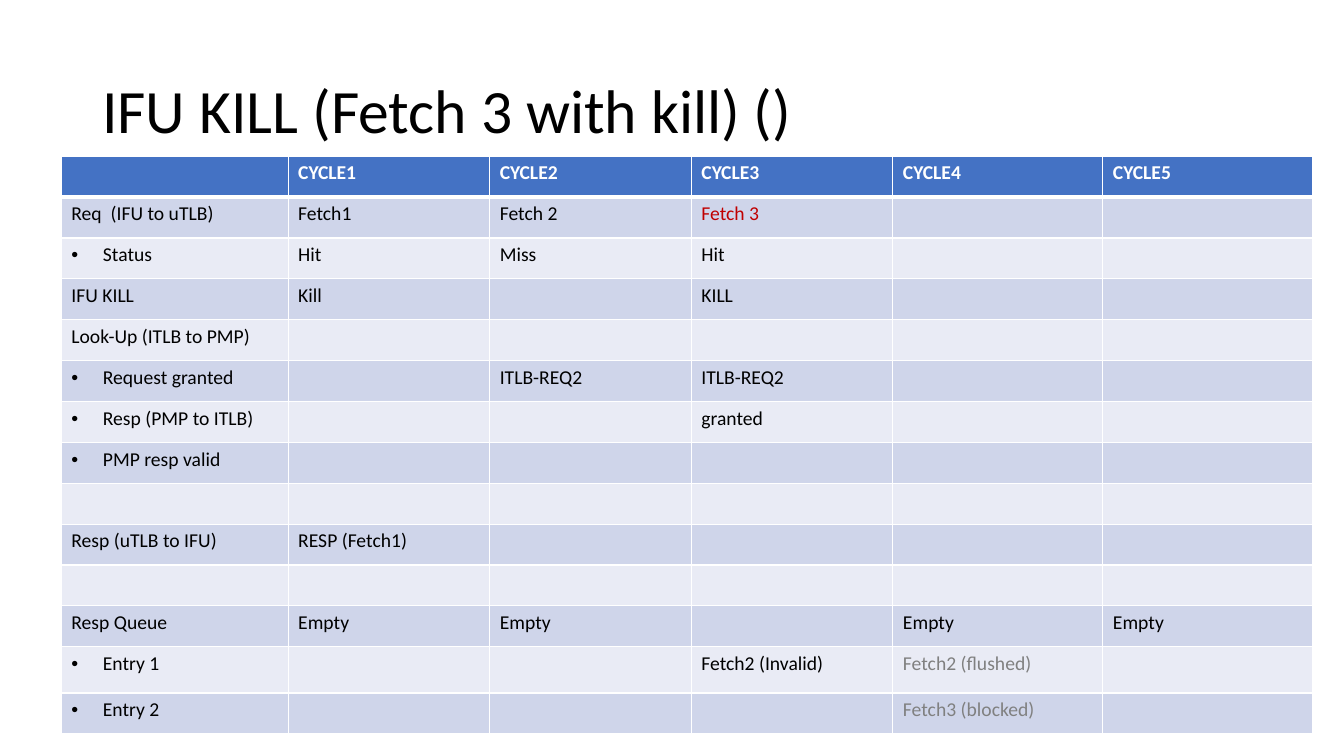
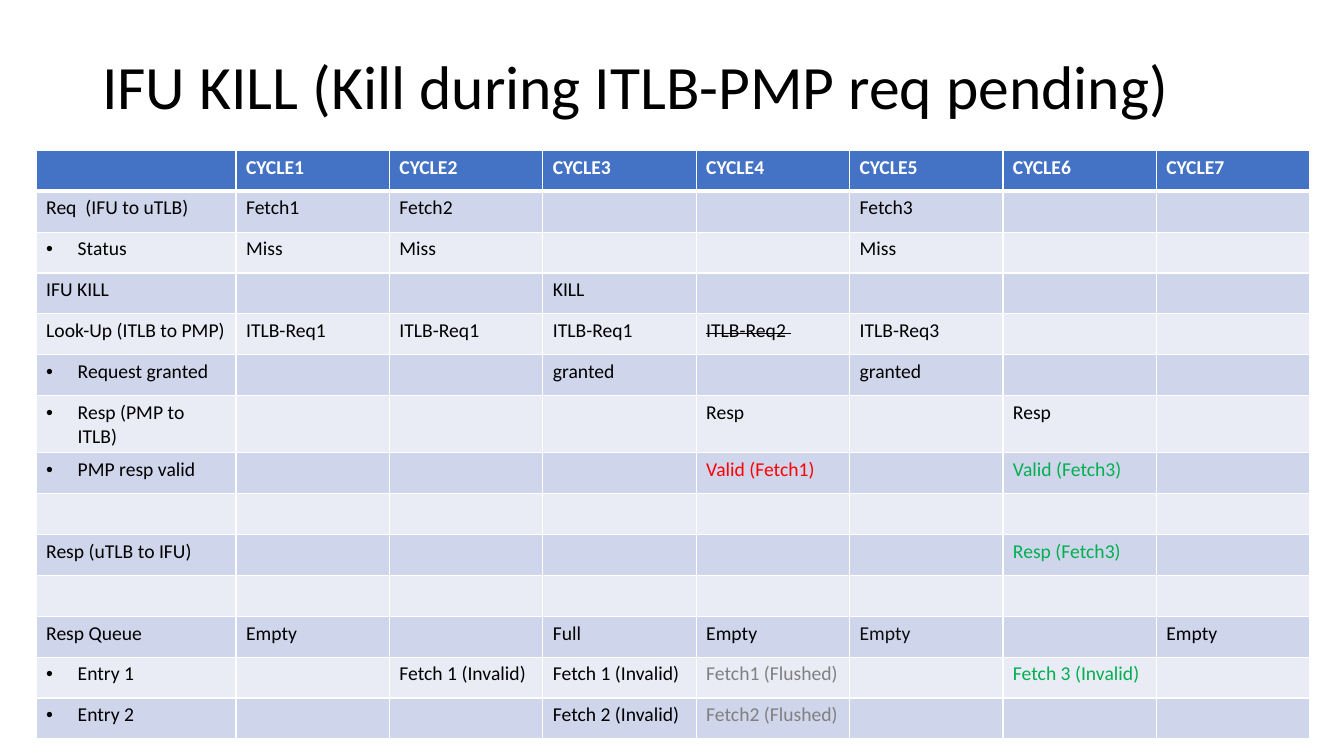
"""Build two slides that trace instruction fetch kills cycle by cycle."""
from dataclasses import dataclass

from lxml.etree import SubElement
from pptx import Presentation
from pptx.dml.color import RGBColor
from pptx.enum.text import MSO_ANCHOR
from pptx.oxml.ns import qn
from pptx.util import Inches, Pt

FONT = "Calibri"
BLACK, WHITE, GREY = "000000", "FFFFFF", "808080"
CRIMSON, RED, GREEN = "C00000", "FF0000", "00B050"
HEADER_FILL, BAND_FILLS = "4472C4", ("CFD5EA", "E9EBF5")

GRID_COLUMNS, GRID_ROWS = 160, 90
TITLE_LEFT, TITLE_WIDTH, TITLE_HEIGHT = 11, 138, 17.4
ROW_HEIGHT, BULLET_INDENT = 4.87, 3.75
THIN, THICK = 1, 3


@dataclass(frozen=True)
class Signal:
    """A row of the trace, named in the first column."""
    label: str
    bulleted: bool = False


@dataclass(frozen=True)
class Event:
    """What a signal shows in one cycle."""
    cycle: int
    text: str
    color: str = BLACK
    struck: bool = False


@dataclass(frozen=True)
class Trace:
    """One slide: its title, table place in grid units, and events by signal."""
    title: str
    title_top: float
    left: float
    top: float
    columns: tuple[float, ...]
    events: dict[str, tuple[Event, ...]]
    tall_rows: dict[str, float]


SIGNALS = (
    Signal("Req  (IFU to uTLB)"),
    Signal("Status", True),
    Signal("IFU KILL"),
    Signal("Look-Up (ITLB to PMP)"),
    Signal("Request granted", True),
    Signal("Resp (PMP to ITLB)", True),
    Signal("PMP resp valid", True),
    Signal(""),
    Signal("Resp (uTLB to IFU)"),
    Signal(""),
    Signal("Resp Queue"),
    Signal("Entry 1", True),
    Signal("Entry 2", True),
)

TRACES = (
    Trace(
        "IFU KILL (Fetch 3 with kill) ()", 4.8, 7.3, 18.6,
        (27, 24, 24, 24, 25, 25),
        {
            "Req  (IFU to uTLB)": (Event(1, "Fetch1"), Event(2, "Fetch 2"),
                                   Event(3, "Fetch 3", CRIMSON)),
            "Status": (Event(1, "Hit"), Event(2, "Miss"), Event(3, "Hit")),
            "IFU KILL": (Event(1, "Kill"), Event(3, "KILL")),
            "Request granted": (Event(2, "ITLB-REQ2"), Event(3, "ITLB-REQ2")),
            "Resp (PMP to ITLB)": (Event(3, "granted"),),
            "Resp (uTLB to IFU)": (Event(1, "RESP (Fetch1)"),),
            "Resp Queue": tuple(Event(cycle, "Empty") for cycle in (1, 2, 4, 5)),
            "Entry 1": (Event(3, "Fetch2 (Invalid)"),
                        Event(4, "Fetch2 (flushed)", GREY)),
            "Entry 2": (Event(4, "Fetch3 (blocked)", GREY),),
        },
        {"Entry 1": 5.5},
    ),
    Trace(
        "IFU KILL (Kill during ITLB-PMP req pending)", 1.9, 4.3, 17.9,
        (23.8,) + (18.26,) * 7,
        {
            "Req  (IFU to uTLB)": (Event(1, "Fetch1"), Event(2, "Fetch2"),
                                   Event(5, "Fetch3")),
            "Status": tuple(Event(cycle, "Miss") for cycle in (1, 2, 5)),
            "IFU KILL": (Event(3, "KILL"),),
            "Look-Up (ITLB to PMP)": (
                *(Event(cycle, "ITLB-Req1") for cycle in (1, 2, 3)),
                Event(4, "ITLB-Req2 ", struck=True), Event(5, "ITLB-Req3")),
            "Request granted": (Event(3, "granted"), Event(5, "granted")),
            "Resp (PMP to ITLB)": (Event(4, "Resp"), Event(6, "Resp")),
            "PMP resp valid": (Event(4, "Valid (Fetch1)", RED),
                               Event(6, "Valid (Fetch3)", GREEN)),
            "Resp (uTLB to IFU)": (Event(6, "Resp (Fetch3)", GREEN),),
            "Resp Queue": (Event(1, "Empty"), Event(3, "Full"), Event(4, "Empty"),
                           Event(5, "Empty", "0D0D0D"), Event(7, "Empty")),
            "Entry 1": (Event(2, "Fetch 1 (Invalid)"), Event(3, "Fetch 1 (Invalid)"),
                        Event(4, "Fetch1 (Flushed)", GREY),
                        Event(6, "Fetch 3 (Invalid)", GREEN)),
            "Entry 2": (Event(3, "Fetch 2 (Invalid)"),
                        Event(4, "Fetch2 (Flushed)", GREY)),
        },
        {},
    ),
)


def units(count: float) -> int:
    """Turn grid units, twelve to the inch, into a length."""
    return Inches(count / 12)


def rgb(value: str) -> RGBColor:
    """Turn a hex string into a colour."""
    return RGBColor.from_string(value)


def write(frame, text: str, *, size: float = 14, color: str = BLACK,
          bold: bool = False, struck: bool = False, bulleted: bool = False,
          spacing: float = 1.0) -> None:
    """Write one formatted paragraph into a text frame."""
    paragraph = frame.paragraphs[0]
    paragraph.line_spacing = spacing
    if bulleted:
        properties = paragraph._p.get_or_add_pPr()
        properties.set("marL", str(units(BULLET_INDENT)))
        properties.set("indent", str(-units(BULLET_INDENT)))
        SubElement(properties, qn("a:buFont"), typeface="Arial")
        SubElement(properties, qn("a:buChar"), char="•")
    run = paragraph.add_run()
    run.text = text
    run.font.name, run.font.size, run.font.bold = FONT, Pt(size), bold
    run.font.color.rgb = rgb(color)
    if struck:
        run._r.get_or_add_rPr().set("strike", "sngStrike")


def style_cell(cell, fill: str, top: float, bottom: float) -> None:
    """Give a cell white borders and a solid fill."""
    properties = cell._tc.get_or_add_tcPr()
    sides = {"lnL": THIN, "lnR": THIN, "lnT": top, "lnB": bottom}
    for side, width in sides.items():
        border = SubElement(properties, qn(f"a:{side}"), w=str(Pt(width)))
        SubElement(SubElement(border, qn("a:solidFill")), qn("a:srgbClr"), val=WHITE)
    cell.fill.solid()
    cell.fill.fore_color.rgb = rgb(fill)


def add_title(slide, trace: Trace) -> None:
    """Add the slide's title."""
    title = slide.shapes.add_textbox(units(TITLE_LEFT), units(trace.title_top),
                                     units(TITLE_WIDTH), units(TITLE_HEIGHT))
    title.text_frame.word_wrap = True
    title.text_frame.vertical_anchor = MSO_ANCHOR.MIDDLE
    write(title.text_frame, trace.title, size=44, spacing=0.9)


def add_trace_table(slide, trace: Trace) -> None:
    """Add the table of signals against cycles."""
    heights = [ROW_HEIGHT] + [trace.tall_rows.get(signal.label, ROW_HEIGHT)
                              for signal in SIGNALS]
    table = slide.shapes.add_table(
        len(heights), len(trace.columns), units(trace.left), units(trace.top),
        units(sum(trace.columns)), units(sum(heights))).table
    table.first_row = table.horz_banding = False
    for column, width in zip(table.columns, trace.columns):
        column.width = units(width)
    for index, (row, height) in enumerate(zip(table.rows, heights)):
        row.height = units(height)
        fill = BAND_FILLS[(index - 1) % 2] if index else HEADER_FILL
        for cell in row.cells:
            style_cell(cell, fill, THICK if index == 1 else THIN,
                       THIN if index else THICK)
    for cycle in range(1, len(trace.columns)):
        write(table.cell(0, cycle).text_frame, f"CYCLE{cycle}", color=WHITE, bold=True)
    for index, signal in enumerate(SIGNALS, start=1):
        if signal.label:
            write(table.cell(index, 0).text_frame, signal.label,
                  bulleted=signal.bulleted)
        for event in trace.events.get(signal.label, ()):
            write(table.cell(index, event.cycle).text_frame, event.text,
                  color=event.color, struck=event.struck)


def main() -> None:
    """Build and save the presentation."""
    presentation = Presentation()
    presentation.slide_width = units(GRID_COLUMNS)
    presentation.slide_height = units(GRID_ROWS)
    for trace in TRACES:
        slide = presentation.slides.add_slide(presentation.slide_layouts[6])
        add_title(slide, trace)
        add_trace_table(slide, trace)
    presentation.save("out.pptx")


if __name__ == "__main__":
    main()
